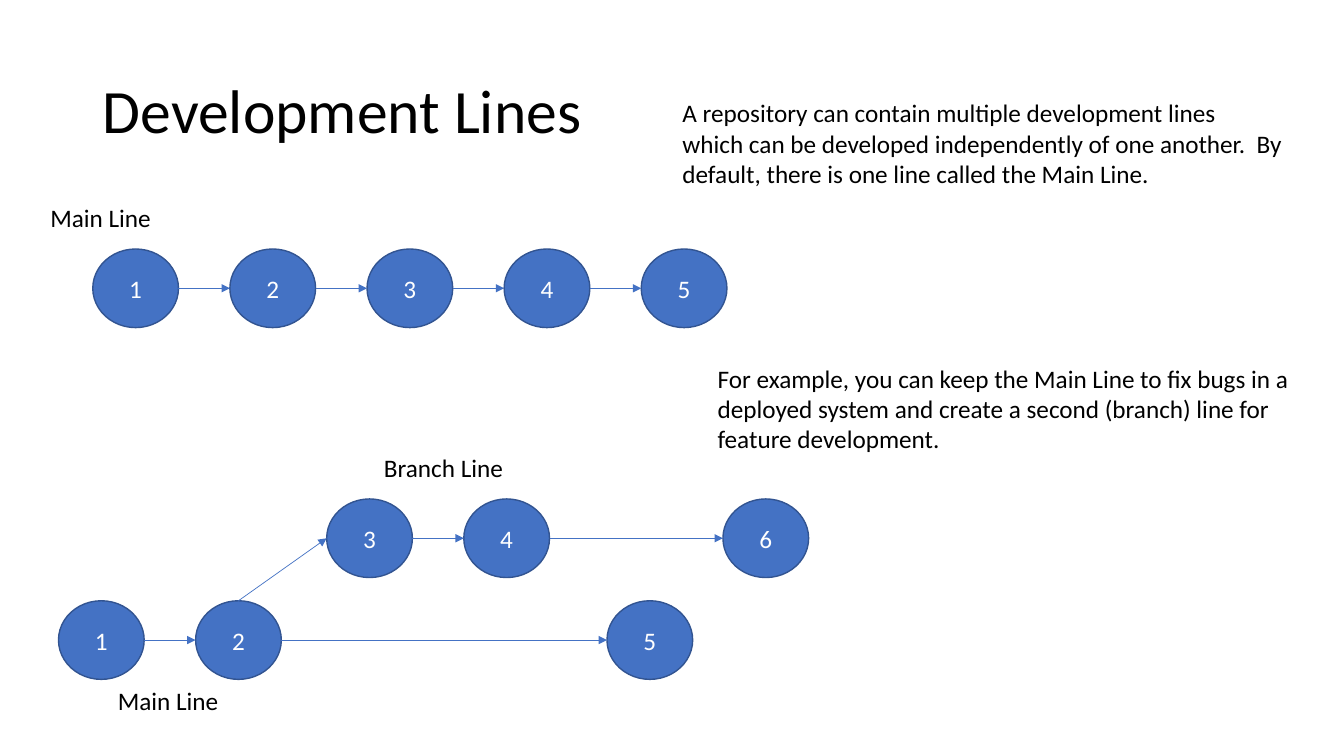
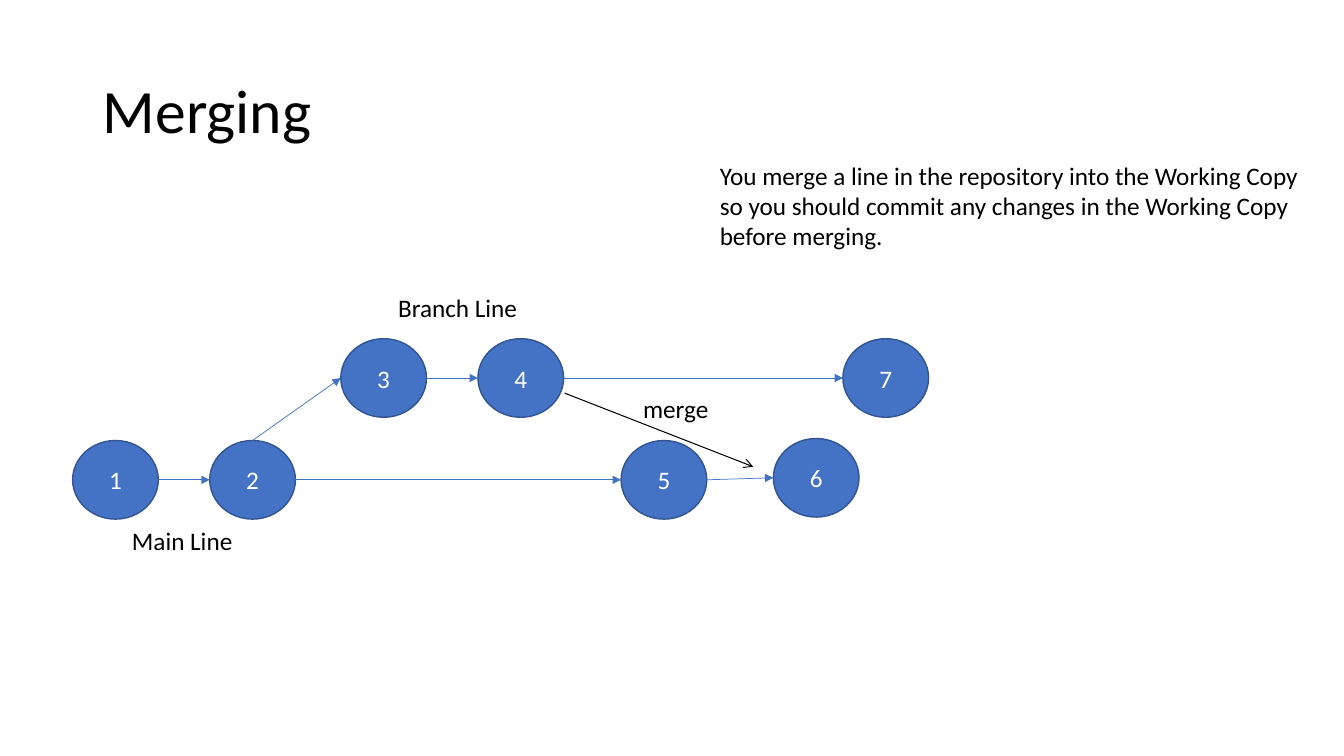
from dataclasses import dataclass

from lxml.etree import SubElement
from pptx import Presentation
from pptx.dml.color import RGBColor
from pptx.enum.shapes import MSO_CONNECTOR, MSO_SHAPE
from pptx.enum.text import MSO_ANCHOR, MSO_AUTO_SIZE, PP_ALIGN
from pptx.oxml.ns import qn
from pptx.util import Pt

PX = 9144  # EMU; 100 px to the inch
SLIDE_SIZE = (1333, 750)
TITLE_BOX = (92, 40, 1150, 145)
NODE_WIDTH, NODE_HEIGHT, NODE_PITCH = 85, 78, 136


@dataclass(frozen=True)
class Theme:
    font: str = "Calibri"
    text: RGBColor = RGBColor(0, 0, 0)
    node_text: RGBColor = RGBColor(255, 255, 255)
    node_fill: RGBColor = RGBColor.from_string("4472C4")
    node_line: RGBColor = RGBColor.from_string("325491")
    title_size: float = 44
    body_size: float = 18
    node_line_width: float = 1
    flow_width: float = 0.5
    merge_width: float = 0.75


THEME = Theme()

# Connection sites of an ellipse: index, then position as a share of its box
SITES = {"top": (0, 0.5, 0), "left": (2, 0, 0.5), "right": (6, 1, 0.5)}

# Node and label positions are relative to the origin of their diagram
MAIN_LINE = {
    "nodes": {number: ((number - 1) * NODE_PITCH, 0) for number in range(1, 6)},
    "arrows": [(number, number + 1, "right") for number in range(1, 5)],
    "labels": [("Main Line", (-52, -51, 121, 40))],
}
BRANCHING = {
    "nodes": {
        1: (0, 101), 2: (NODE_PITCH, 101), 5: (544, 101),
        3: (266, 0), 4: (266 + NODE_PITCH, 0),
    },
    "arrows": [(1, 2, "right"), (2, 5, "right"), (2, 3, "top"), (3, 4, "right")],
    "labels": [
        ("Main Line", (49, 180, 121, 40)),
        ("Branch Line", (313, -51, 140, 40)),
    ],
}


def extend(diagram, nodes, arrows):
    return {
        "nodes": diagram["nodes"] | nodes,
        "arrows": diagram["arrows"] + arrows,
        "labels": diagram["labels"],
    }


SLIDES = [
    {
        "title": "Development Lines",
        "diagrams": [
            ((92, 247), MAIN_LINE),
            ((58, 495), extend(BRANCHING, {6: (659, 0)}, [(4, 6, "right")])),
        ],
        "texts": [
            ("A repository can contain multiple development lines\n"
             "which can be developed independently of one another.  By\n"
             "default, there is one line called the Main Line.", (667, 92, 629, 101)),
            ("For example, you can keep the Main Line to fix bugs in a\n"
             "deployed system and create a second (branch) line for\n"
             "feature development.", (702, 355, 594, 101)),
        ],
        "merges": [],
    },
    {
        "title": "Merging",
        "diagrams": [
            ((72, 336), extend(BRANCHING, {7: (764, 0), 6: (695, 99)},
                               [(4, 7, "right"), (5, 6, "right")])),
        ],
        "texts": [
            ("You merge a line in the repository into the Working Copy\n"
             "so you should commit any changes in the Working Copy\n"
             "before merging.", (704, 154, 601, 101)),
            ("merge", (628, 385, 86, 40)),
        ],
        "merges": [((560, 390), (747, 463))],
    },
]


def emu(lengths):
    return [round(length * PX) for length in lengths]


def write(frame, text, size, color, alignment=PP_ALIGN.LEFT):
    """Fill a text frame with one paragraph, turning newlines into line breaks."""
    frame.text = text.replace("\n", "\v")
    paragraph = frame.paragraphs[0]
    paragraph.alignment = alignment
    for run in paragraph.runs:
        values = {"name": THEME.font, "size": Pt(size)}
        for name, value in values.items():
            setattr(run.font, name, value)
        run.font.color.rgb = color
    return paragraph


def add_title(slide, text):
    title = slide.shapes.title
    for name, value in zip(("left", "top", "width", "height"), emu(TITLE_BOX)):
        setattr(title, name, value)
    paragraph = write(title.text_frame, text, THEME.title_size, THEME.text)
    paragraph.line_spacing = 0.9
    title.text_frame.vertical_anchor = MSO_ANCHOR.MIDDLE
    title.text_frame.auto_size = MSO_AUTO_SIZE.NONE


def add_text(slide, text, box):
    frame = slide.shapes.add_textbox(*emu(box)).text_frame
    write(frame, text, THEME.body_size, THEME.text)
    frame.word_wrap = False
    frame.auto_size = MSO_AUTO_SIZE.SHAPE_TO_FIT_TEXT


def add_node(slide, number, left, top):
    node = slide.shapes.add_shape(
        MSO_SHAPE.OVAL, *emu((left, top, NODE_WIDTH, NODE_HEIGHT)))
    node.shadow.inherit = False
    node.fill.solid()
    node.fill.fore_color.rgb = THEME.node_fill
    node.line.color.rgb = THEME.node_line
    node.line.width = Pt(THEME.node_line_width)
    write(node.text_frame, str(number), THEME.body_size, THEME.node_text,
          PP_ALIGN.CENTER)
    node.text_frame.vertical_anchor = MSO_ANCHOR.MIDDLE
    return node


def add_arrow(slide, start, end, color, width, head):
    """Draw a straight arrow between two points given in EMU."""
    arrow = slide.shapes.add_connector(MSO_CONNECTOR.STRAIGHT, *start, *end)
    arrow.line.color.rgb = color
    arrow.line.width = Pt(width)
    SubElement(arrow.line._get_or_add_ln(), qn("a:tailEnd"), type=head)
    SubElement(arrow._element.spPr, qn("a:effectLst"))
    return arrow


def site_point(node, site):
    _, across, down = SITES[site]
    return (round(node.left + node.width * across),
            round(node.top + node.height * down))


def link_nodes(slide, source, target, source_site):
    """Join two ellipses, whose sites begin_connect does not number correctly."""
    arrow = add_arrow(slide, site_point(source, source_site),
                      site_point(target, "left"),
                      THEME.node_fill, THEME.flow_width, "triangle")
    properties = arrow._element.find(".//" + qn("p:cNvCxnSpPr"))
    ends = (("a:stCxn", source, source_site), ("a:endCxn", target, "left"))
    for tag, node, site in ends:
        SubElement(properties, qn(tag), id=str(node.shape_id),
                   idx=str(SITES[site][0]))


def add_diagram(slide, origin, diagram):
    x, y = origin
    nodes = {number: add_node(slide, number, x + left, y + top)
             for number, (left, top) in diagram["nodes"].items()}
    for source, target, site in diagram["arrows"]:
        link_nodes(slide, nodes[source], nodes[target], site)
    for text, (left, top, width, height) in diagram["labels"]:
        add_text(slide, text, (x + left, y + top, width, height))


def main():
    presentation = Presentation()
    presentation.slide_width, presentation.slide_height = emu(SLIDE_SIZE)
    title_only = presentation.slide_layouts.get_by_name("Title Only")
    for content in SLIDES:
        slide = presentation.slides.add_slide(title_only)
        add_title(slide, content["title"])
        for origin, diagram in content["diagrams"]:
            add_diagram(slide, origin, diagram)
        for text, box in content["texts"]:
            add_text(slide, text, box)
        for start, end in content["merges"]:
            add_arrow(slide, emu(start), emu(end),
                      THEME.text, THEME.merge_width, "arrow")
    presentation.save("out.pptx")


if __name__ == "__main__":
    main()
